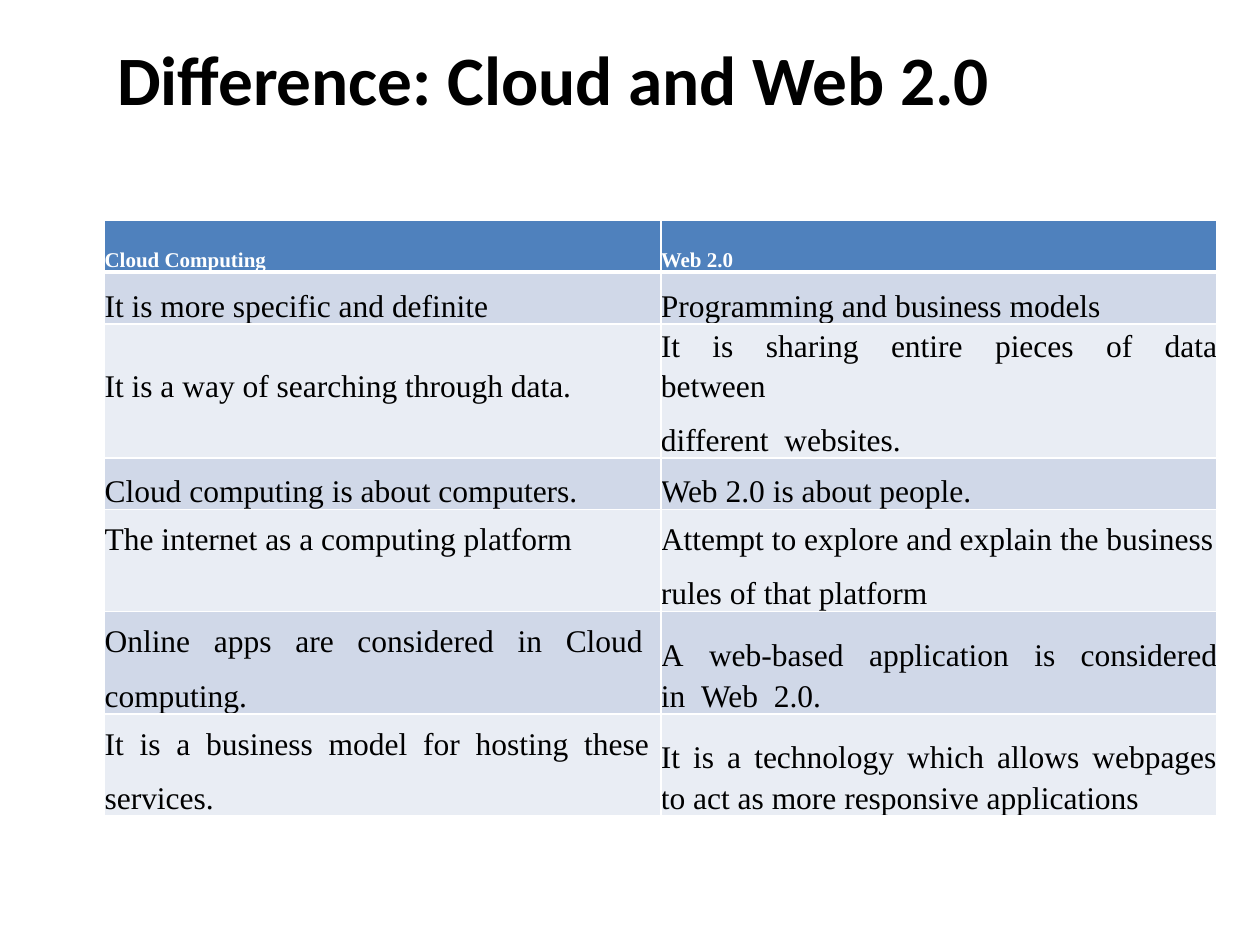
import pptx
import pptx.dml.color
import pptx.enum.text
import pptx.oxml
import pptx.oxml.ns
import pptx.util

Inches, Pt = pptx.util.Inches, pptx.util.Pt
RGBColor = pptx.dml.color.RGBColor
Align, Anchor = pptx.enum.text.PP_ALIGN, pptx.enum.text.MSO_ANCHOR

BLACK = RGBColor(0x00, 0x00, 0x00)
WHITE = RGBColor(0xFF, 0xFF, 0xFF)
HEADER_BLUE = RGBColor(0x4F, 0x81, 0xBD)
BAND_DARK = RGBColor(0xD0, 0xD8, 0xE8)
BAND_LIGHT = RGBColor(0xE9, 0xED, 0xF4)

LEFT, WIDTH = 0.83, 8.83
SINGLE, DOUBLE = 0.41, 0.81  # row heights
ONE_LINE = 0.43              # room under a one-line entry in a double row


def entry(*lines, gap=0, below=0):
    """A cell's paragraphs, extra word gap (pt) and bottom margin (in)."""
    return {"lines": lines, "gap": gap, "below": below}


COMPARISON = [
    (SINGLE, entry("Cloud Computing"), entry("Web 2.0")),
    (SINGLE, entry("It is more specific and definite"),
     entry("Programming and business models")),
    (DOUBLE, entry("It is a way of searching through data.", below=ONE_LINE),
     entry("It is sharing entire pieces of data between",
           "different websites.", gap=4.5)),
    (SINGLE, entry("Cloud computing is about computers."),
     entry("Web 2.0 is about people.")),
    (DOUBLE, entry("The internet as a computing platform", below=ONE_LINE),
     entry("Attempt to explore and explain the business",
           "rules of that platform")),
    (DOUBLE, entry("Online apps are considered in Cloud", "computing.", gap=9),
     entry("A web-based application is considered in Web 2.0.", gap=4.5)),
    (DOUBLE, entry("It is a business model for hosting these", "services.",
                   gap=4.5),
     entry("It is a technology which allows webpages to act as more "
           "responsive applications")),
]


def write(paragraph, text, *, font, size, color, bold=False, align=Align.LEFT,
          line_spacing=None, space_after=None, word_gap=0):
    """Fill a paragraph; word_gap widens each space by that many points."""
    paragraph.alignment = align
    paragraph.line_spacing = line_spacing
    paragraph.space_after = space_after
    pieces = text.replace(" ", "\n \n").split("\n") if word_gap else [text]
    for piece in pieces:
        run = paragraph.add_run()
        run.text = piece
        run.font.name, run.font.size = font, Pt(size)
        run.font.bold, run.font.color.rgb = bold, color
        if piece == " ":
            run.font._element.set("spc", str(int(word_gap * 100)))


class SlideBuilder:
    heading_font = "Calibri"
    body_font = "Times New Roman"

    def __init__(self, slide):
        self.slide = slide

    def title(self, text):
        title = self.slide.shapes.title
        title.left, title.top = Inches(LEFT), Inches(0.29)
        title.width, title.height = Inches(WIDTH), Inches(1.25)
        frame = title.text_frame
        frame.word_wrap = True
        frame.vertical_anchor = Anchor.TOP
        frame.margin_top = 0
        write(frame.paragraphs[0], text, font=self.heading_font, size=39.6,
              color=BLACK, bold=True)

    def border(self, cell, side, points):
        cell._tc.get_or_add_tcPr().append(pptx.oxml.parse_xml(
            f'<a:ln{side} {pptx.oxml.ns.nsdecls("a")} w="{Pt(points)}">'
            f'<a:solidFill><a:srgbClr val="{WHITE}"/></a:solidFill>'
            f'</a:ln{side}>'))

    def cell(self, cell, content, row):
        header = row == 0
        cell.margin_left = cell.margin_right = cell.margin_top = 0
        cell.margin_bottom = Inches(content["below"])
        cell.vertical_anchor = Anchor.BOTTOM
        # Borders come before the fill in the cell properties
        for side in "LRTB":
            under_header = (row, side) in ((0, "B"), (1, "T"))
            self.border(cell, side, 3 if under_header else 1)
        cell.fill.solid()
        cell.fill.fore_color.rgb = (
            HEADER_BLUE if header else BAND_DARK if row % 2 else BAND_LIGHT)
        frame = cell.text_frame
        for i, line in enumerate(content["lines"]):
            paragraph = frame.add_paragraph() if i else frame.paragraphs[0]
            write(paragraph, line, font=self.body_font,
                  size=12 if header else 18, bold=header,
                  color=WHITE if header else BLACK, align=Align.JUSTIFY,
                  line_spacing=1.15, space_after=Pt(8),
                  word_gap=content["gap"])

    def table(self, rows):
        height = sum(row[0] for row in rows)
        table = self.slide.shapes.add_table(
            len(rows), 2, Inches(LEFT), Inches(1.75), Inches(WIDTH),
            Inches(height)).table
        for column in table.columns:
            column.width = Inches(WIDTH / 2)
        for r, (row_height, *entries) in enumerate(rows):
            table.rows[r].height = Inches(row_height)
            for c, content in enumerate(entries):
                self.cell(table.cell(r, c), content, r)


def main():
    deck = pptx.Presentation()
    deck.slide_width, deck.slide_height = Inches(10), Inches(7.5)
    builder = SlideBuilder(deck.slides.add_slide(deck.slide_layouts[5]))
    builder.title("Difference: Cloud and Web 2.0")
    builder.table(COMPARISON)
    deck.save("out.pptx")


if __name__ == "__main__":
    main()
